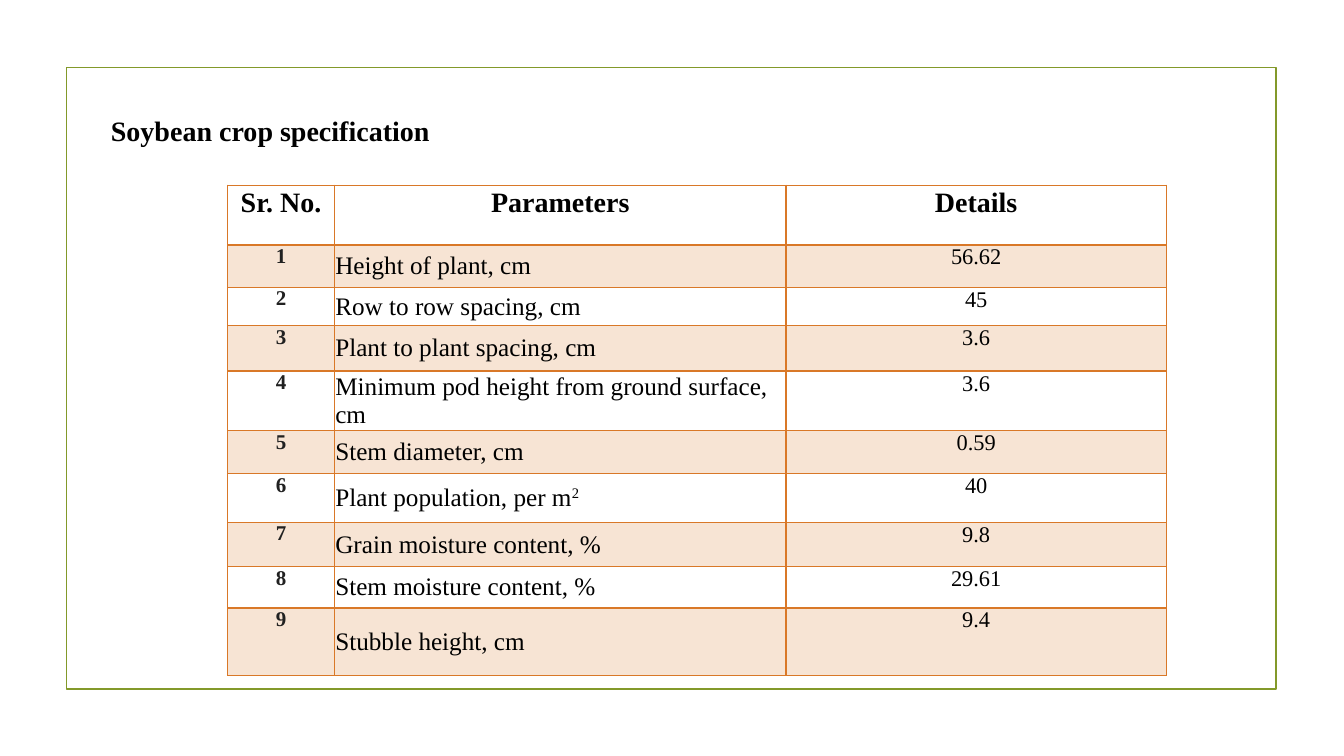
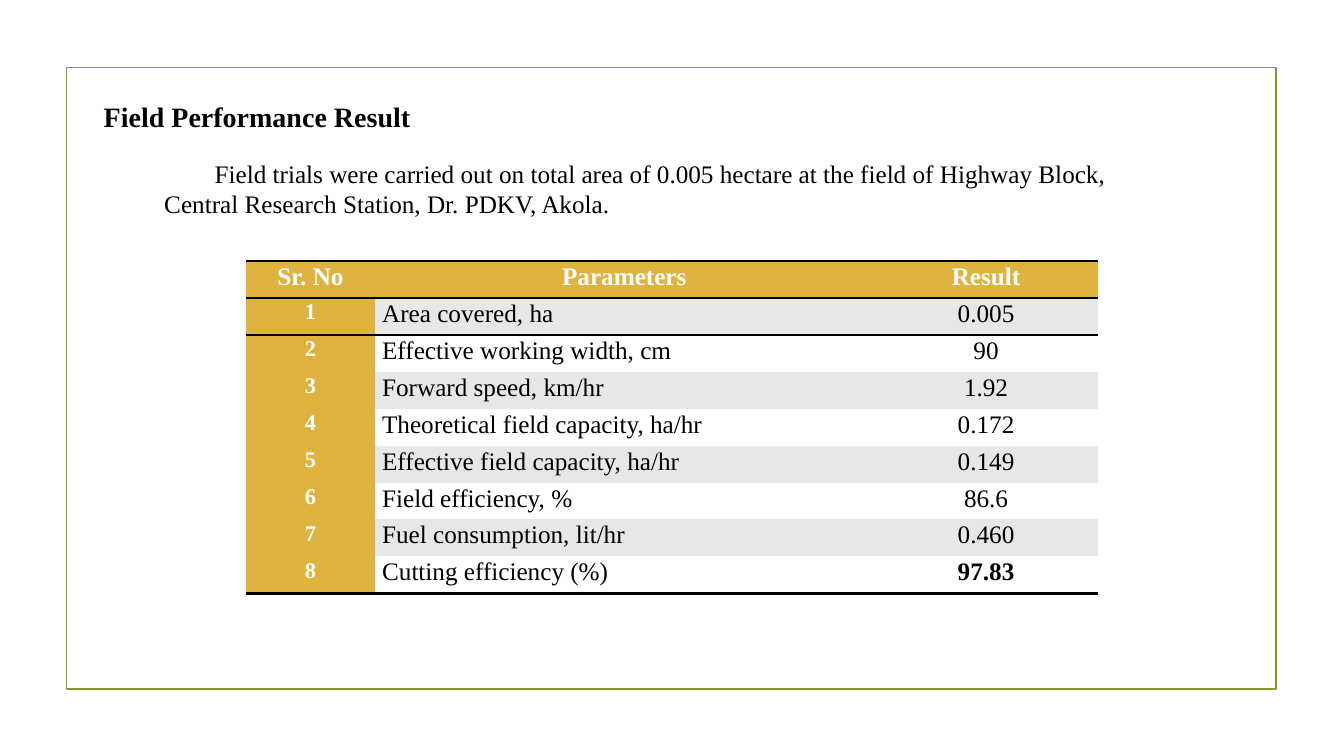
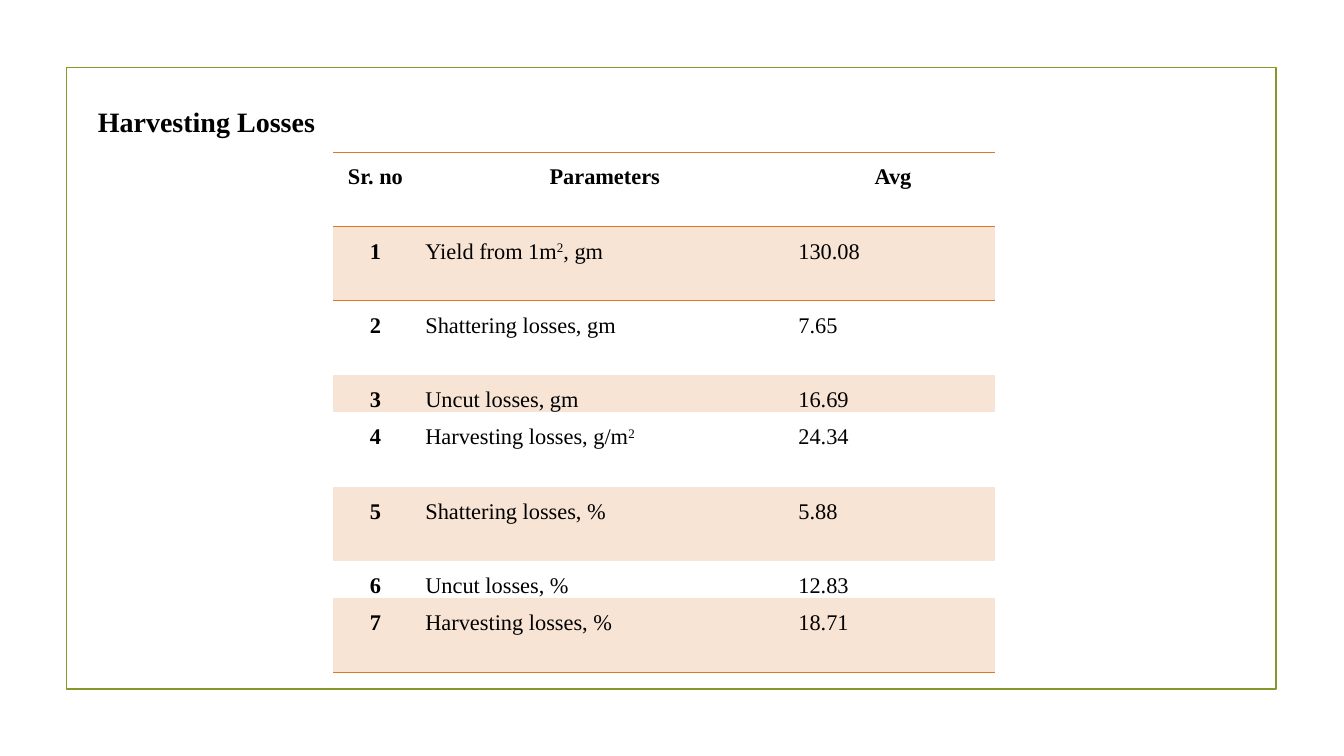
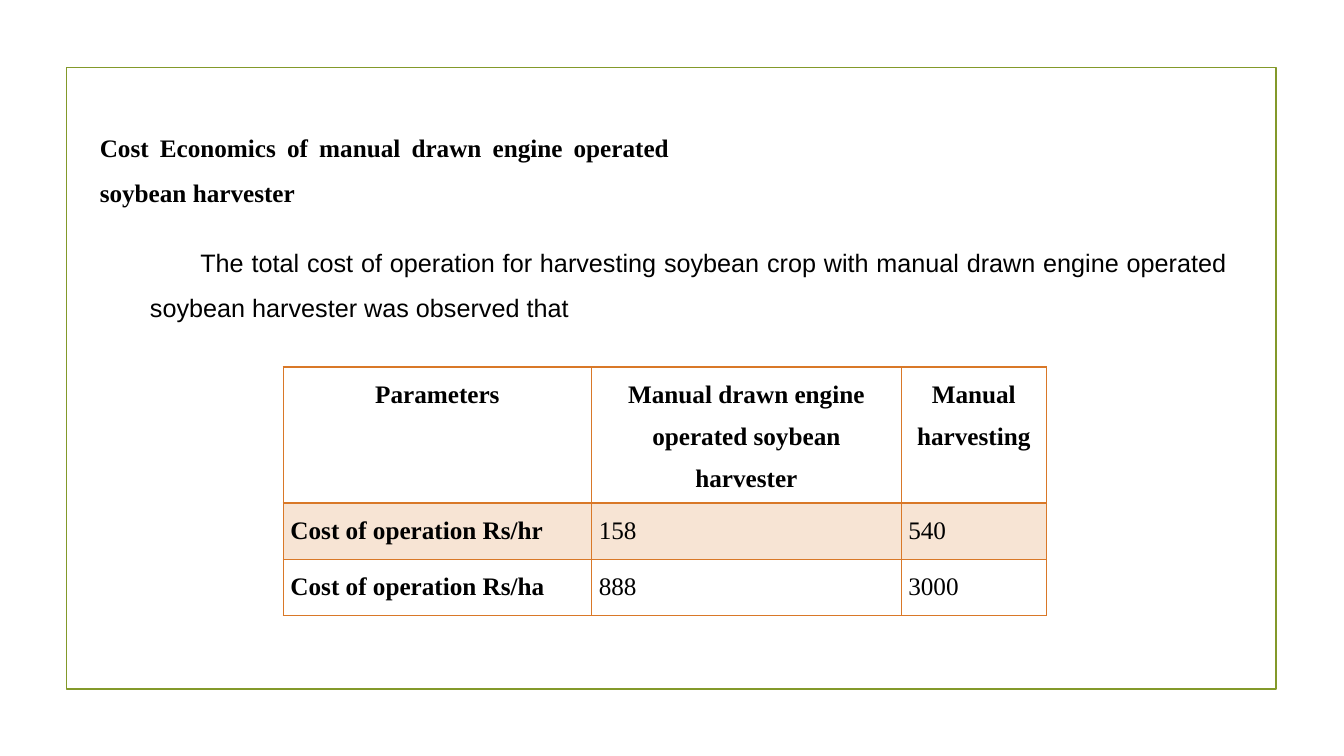
from lxml.etree import SubElement
from pptx import Presentation
from pptx.dml.color import RGBColor
from pptx.enum.shapes import MSO_SHAPE as Shape
from pptx.enum.text import MSO_ANCHOR as Anchor, MSO_AUTO_SIZE as AutoSize, PP_ALIGN as Align
from pptx.oxml.ns import qn
from pptx.util import Cm, Pt

BLACK, WHITE, CHARCOAL = "000000", "FFFFFF", "212121"
OLIVE, ORANGE, PEACH, GOLD, GREY = "83992A", "D97828", "F7E4D4", "DEB340", "E7E7E7"
SERIF = "Times New Roman"
NO_GRID_STYLE = "{2D5ABB26-0587-4C30-8999-92F81FD0307C}"
LEFT, CENTER, JUSTIFY = Align.LEFT, Align.CENTER, Align.JUSTIFY


def paint(target, shade):
    target.fill.solid()
    target.fill.fore_color.rgb = RGBColor.from_string(shade)


def write(frame, text, size, bold=False, shade=BLACK, align=LEFT, spacing=1.0, font=SERIF, indent=0):
    para = frame.paragraphs[0]
    para.alignment = align
    para.line_spacing = spacing
    if indent:
        para._p.get_or_add_pPr().set("indent", str(Cm(indent)))
    for index, part in enumerate(text.split("^")):
        if not part:
            continue
        span = para.add_run()
        span.text = part
        span.font.name = font
        span.font.size = Pt(size)
        span.font.bold = bold
        paint(span.font, shade)
        if index % 2:
            span.font._element.set("baseline", "30000")


# Column looks: alignment, size, bold, colour, side inset, anchor
slides = [
    {
        "title": "Soybean crop specification",
        "title_place": (2.54, 2.72, 8.61, 1.96),
        "table_place": (5.74, 4.67),
        "widths": [2.69, 11.38, 9.58],
        "heights": [1.5, 1.07, 0.97, 1.14, 1.5, 1.09, 1.22, 1.12, 1.04, 1.7],
        "header": (20, BLACK, None),
        "spacing": (1.07, 1.0),
        "looks": [
            (CENTER, 15, True, CHARCOAL, 0.18, Anchor.TOP),
            (LEFT, 18, False, BLACK, 0.02, Anchor.MIDDLE),
            (CENTER, 16, False, BLACK, 0.18, Anchor.TOP),
        ],
        "band": PEACH,
        "grid": True,
        "rule": (ORANGE, 1, 2),
        "rows": [
            ("Sr. No.", "Parameters", "Details"),
            ("1", "Height of plant, cm", "56.62"),
            ("2", "Row to row spacing, cm", "45"),
            ("3", "Plant to plant spacing, cm", "3.6"),
            ("4", "Minimum pod height from ground surface, cm", "3.6"),
            ("5", "Stem diameter, cm", "0.59"),
            ("6", "Plant population, per m^2^", "40"),
            ("7", "Grain moisture content, %", "9.8"),
            ("8", "Stem moisture content, %", "29.61"),
            ("9", "Stubble height, cm", "9.4"),
        ],
    },
    {
        "title": "Field Performance Result",
        "title_place": (2.36, 2.39, 8.31, 1.96),
        "body": "Field trials were carried out on total area of 0.005 hectare at the field of "
                "Highway Block, Central Research Station, Dr. PDKV, Akola.",
        "body_place": (3.89, 3.86, 26.09, 1.8),
        "body_style": {},
        "table_place": (6.2, 6.58),
        "widths": [3.25, 12.57, 5.66],
        "heights": [0.93] * 9,
        "header": (18, WHITE, GOLD),
        "spacing": (1.07, 1.07),
        "looks": [
            (CENTER, 16, True, WHITE, 0.18, Anchor.TOP),
            (LEFT, 18, False, BLACK, 0.18, Anchor.TOP),
            (CENTER, 18, False, BLACK, 0.18, Anchor.TOP),
        ],
        "band": GREY,
        "side": GOLD,
        "bold_cell": (8, 2),
        "rule": (BLACK, 2, 2),
        "rows": [
            ("Sr. No", "Parameters", "Result"),
            ("1", "Area covered, ha", "0.005"),
            ("2", "Effective working width, cm", "90"),
            ("3", "Forward speed, km/hr", "1.92"),
            ("4", "Theoretical field capacity, ha/hr", "0.172"),
            ("5", "Effective field capacity, ha/hr", "0.149"),
            ("6", "Field efficiency, %", "86.6"),
            ("7", "Fuel consumption, lit/hr", "0.460"),
            ("8", "Cutting efficiency (%)", "97.83"),
        ],
    },
    {
        "title": "Harvesting Losses",
        "title_place": (2.21, 2.51, 6.12, 1.12),
        "table_place": (8.38, 3.84),
        "widths": [2.16, 9.4, 5.13],
        "heights": [1.87, 1.87, 1.87, 0.89, 1.87, 1.87, 0.89, 1.87],
        "header": (16, BLACK, None),
        "spacing": (1.5, 1.5),
        "looks": [
            (CENTER, 16, True, BLACK, 0.18, Anchor.TOP),
            (JUSTIFY, 16, False, BLACK, 0.18, Anchor.TOP),
            (JUSTIFY, 16, False, BLACK, 0.18, Anchor.TOP),
        ],
        "band": PEACH,
        "rule": (ORANGE, 1, 1),
        "rows": [
            ("Sr. no", "Parameters", "Avg"),
            ("1", "Yield from 1m^2^, gm", "130.08"),
            ("2", "Shattering losses, gm", "7.65"),
            ("3", "Uncut losses, gm", "16.69"),
            ("4", "Harvesting losses, g/m^2^", "24.34"),
            ("5", "Shattering losses, %", "5.88"),
            ("6", "Uncut losses, %", "12.83"),
            ("7", "Harvesting losses, %", "18.71"),
        ],
    },
    {
        "title": "Cost Economics of manual drawn engine operated soybean harvester",
        "title_place": (2.26, 2.82, 14.86, 2.41),
        "title_style": {"size": 18, "align": JUSTIFY, "spacing": 1.5},
        "body": "The total cost of operation for harvesting soybean crop with manual drawn "
                "engine operated soybean harvester was observed that",
        "body_place": (3.53, 5.72, 27.64, 2.41),
        "body_style": {"align": JUSTIFY, "spacing": 1.5, "font": "Arial"},
        "table_place": (7.14, 9.25),
        "widths": [7.77, 7.8, 3.66],
        "heights": [2.97, 1.41, 1.41],
        "header": (18, BLACK, None),
        "spacing": (1.5, 1.5),
        "looks": [
            (JUSTIFY, 18, True, BLACK, 0.18, Anchor.TOP),
            (JUSTIFY, 18, False, BLACK, 0.18, Anchor.TOP),
            (JUSTIFY, 18, False, BLACK, 0.18, Anchor.TOP),
        ],
        "band": PEACH,
        "grid": True,
        "rule": (ORANGE, 1, 2),
        "rows": [
            ("Parameters", "Manual drawn engine operated soybean harvester", "Manual harvesting"),
            ("Cost of operation Rs/hr", "158", "540"),
            ("Cost of operation Rs/ha", "888", "3000"),
        ],
    },
]

deck = Presentation()
deck.slide_width, deck.slide_height = Cm(33.87), Cm(19.05)
layout = deck.slide_layouts[5]

for number, content in enumerate(slides):
    page = deck.slides.add_slide(layout)
    if number == 0:
        border = page.shapes.add_shape(Shape.RECTANGLE, Cm(1.68), Cm(1.7), Cm(30.48), Cm(15.67))
        border.shadow.inherit = False
        border.fill.background()
        paint(border.line, OLIVE)
        border.line.width = Pt(1.25)
        layout.shapes.element.append(border.element)

    title = page.shapes.title
    title.left, title.top, title.width, title.height = map(Cm, content["title_place"])
    title.text_frame.auto_size = AutoSize.NONE
    title.text_frame.vertical_anchor = Anchor.TOP
    title.text_frame.word_wrap = "title_style" in content
    write(title.text_frame, content["title"], bold=True, **content.get("title_style", {"size": 20}))

    if "body" in content:
        box = page.shapes.add_textbox(*map(Cm, content["body_place"]))
        box.text_frame.word_wrap = True
        write(box.text_frame, content["body"], 18, indent=1.27, **content["body_style"])

    rows, widths, heights = content["rows"], content["widths"], content["heights"]
    holder = page.shapes.add_table(len(rows), len(widths), *map(Cm, content["table_place"]),
                                   Cm(sum(widths)), Cm(sum(heights)))
    holder.element.find(".//" + qn("a:tableStyleId")).text = NO_GRID_STYLE
    table = holder.table
    table.horz_banding = False
    for column, width in zip(table.columns, widths):
        column.width = Cm(width)
    for line, height in zip(table.rows, heights):
        line.height = Cm(height)

    rule_shade, rule_width, header_width = content["rule"]
    header_size, header_shade, header_fill = content["header"]
    header_spacing, body_spacing = content["spacing"]
    grid = content.get("grid", False)
    last = len(rows) - 1
    for r, row in enumerate(rows):
        for c, text in enumerate(row):
            cell = table.cell(r, c)
            align, size, bold, shade, inset, anchor = content["looks"][c]
            spacing = body_spacing
            fill = content["band"] if r % 2 else None
            if c == 0:
                fill = content.get("side", fill)
            if r == 0:
                align, size, bold, shade, inset, anchor = CENTER, header_size, True, header_shade, 0.18, Anchor.TOP
                spacing, fill = header_spacing, header_fill
            if (r, c) == content.get("bold_cell"):
                bold = True
            cell.margin_left = cell.margin_right = Cm(inset)
            cell.margin_top = cell.margin_bottom = 0
            cell.vertical_anchor = anchor
            write(cell.text_frame, text, size, bold, shade, align, spacing)

            edges = {}
            if grid:
                edges = {"a:lnL": rule_width, "a:lnR": rule_width}
            if grid or r == 0:
                edges["a:lnT"] = header_width if r == 1 else rule_width
            elif r == 1:
                edges["a:lnT"] = header_width
            if grid or r in (0, last):
                edges["a:lnB"] = header_width if r == 0 else rule_width
            properties = cell._tc.get_or_add_tcPr()
            for edge, thickness in edges.items():
                stroke = SubElement(properties, qn(edge), w=str(Pt(thickness)))
                solid = SubElement(stroke, qn("a:solidFill"))
                SubElement(solid, qn("a:srgbClr"), val=rule_shade)
            if fill:
                paint(cell, fill)
            else:
                cell.fill.background()

deck.save("out.pptx")
